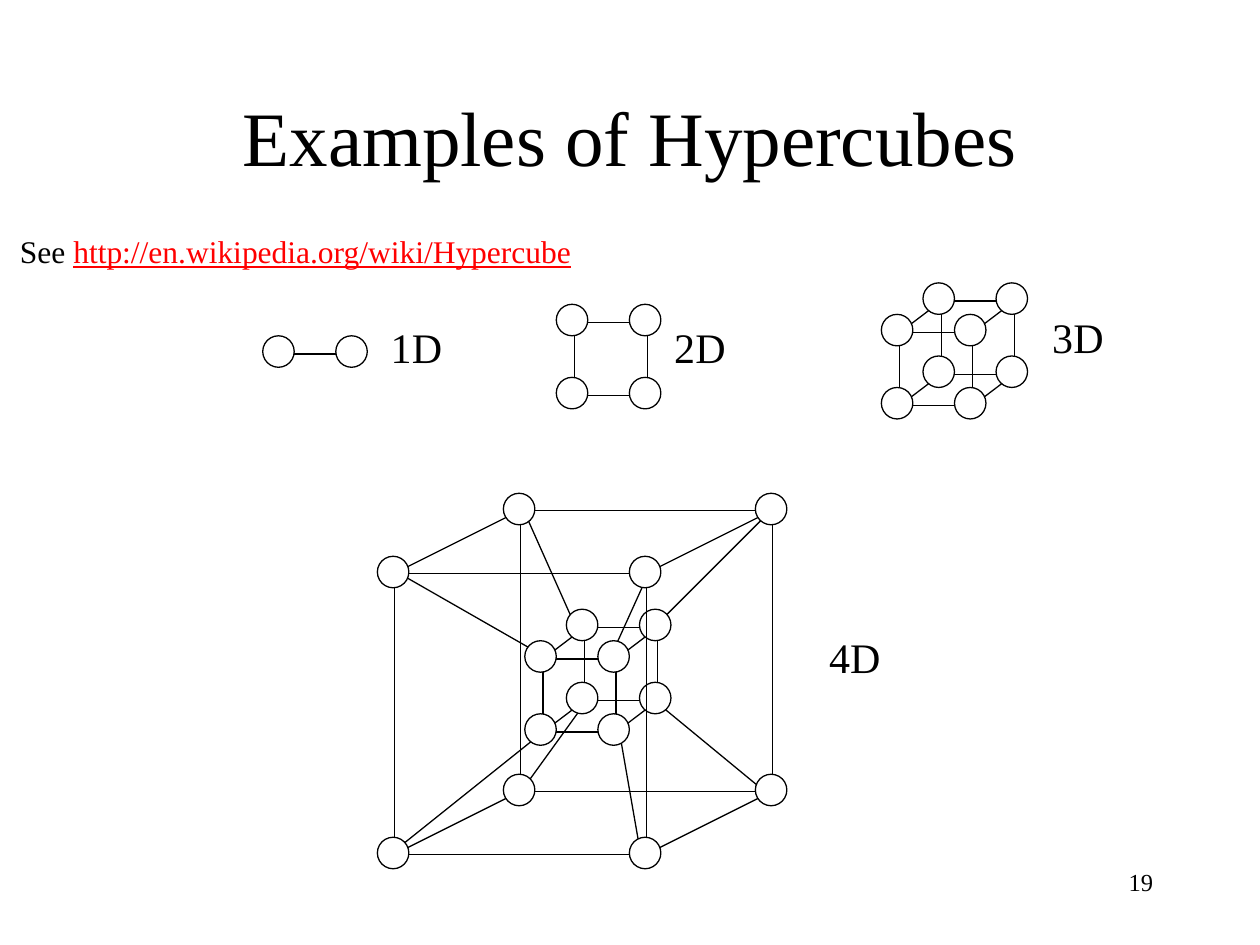
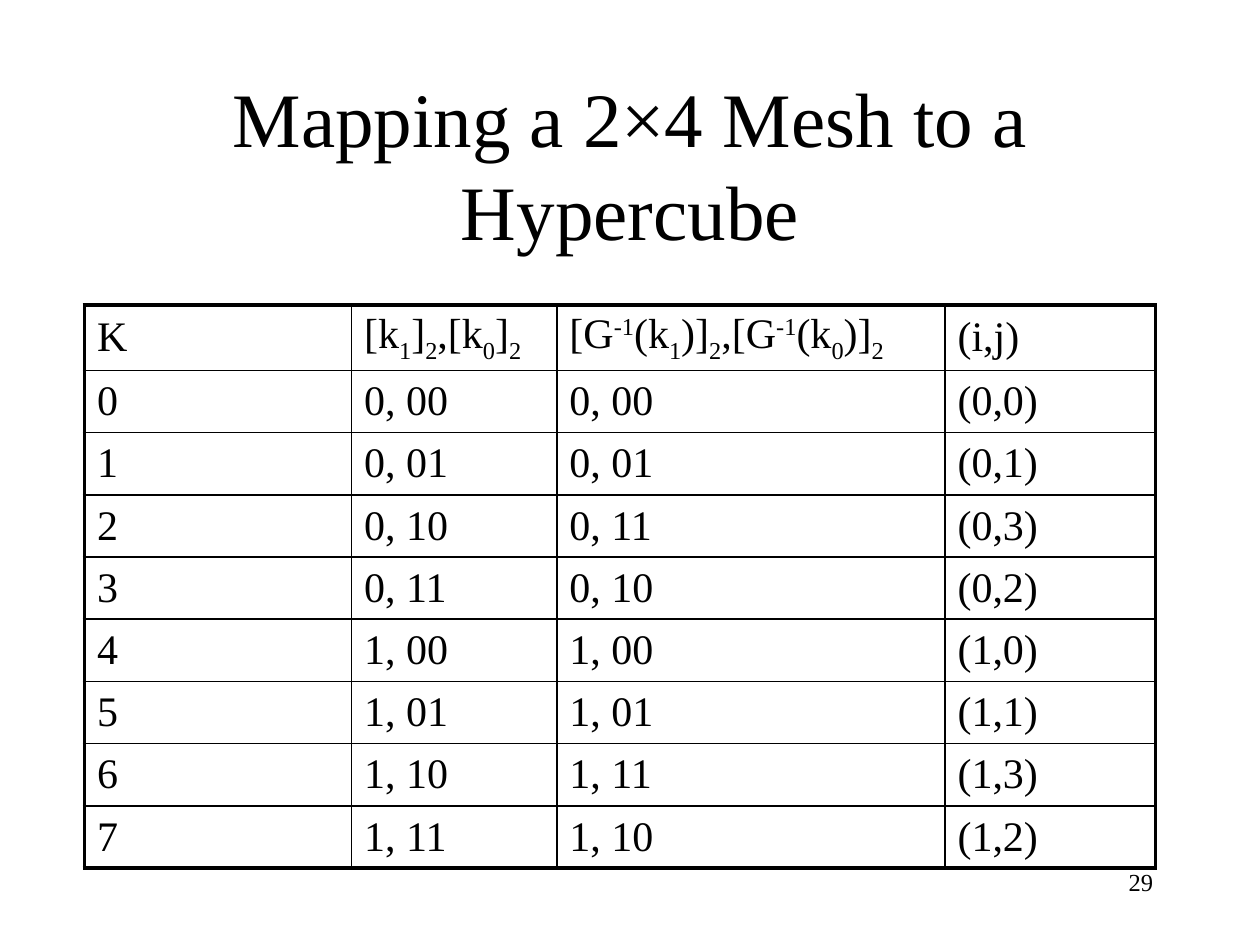
from dataclasses import dataclass
from itertools import combinations, product

from lxml import etree
from pptx import Presentation
from pptx.dml.color import RGBColor
from pptx.enum.shapes import MSO_CONNECTOR as CONN, MSO_SHAPE as SHAPE
from pptx.enum.text import MSO_ANCHOR as ANCHOR, MSO_AUTO_SIZE as AUTO, PP_ALIGN as ALIGN
from pptx.oxml.ns import qn
from pptx.util import Inches, Pt


@dataclass(frozen=True)
class Theme:
    font: str = "Times New Roman"
    ink: RGBColor = RGBColor(0, 0, 0)
    paper: RGBColor = RGBColor(255, 255, 255)
    link: RGBColor = RGBColor(255, 0, 0)
    title: int = 44
    body: int = 24
    note: int = 18
    number: int = 14
    stroke: float = 0.75
    grid: float = 1
    frame: float = 2.25


T = Theme()
NODE = 0.25
SMALL_SHIFT, LARGE_SHIFT = 0.02, 0.01
SMALL_AXES = [(0.58, 0), (0, 0.58), (0.33, -0.25)]
LARGE_AXES = [(2, 0), (0, 2.23), (1, -0.5)]
TESSERACT_LINKS = [
    ((4.36, 5.77), (3.11, 6.77)), ((4.65, 5.57), (4.13, 6.29)),
    ((4.92, 5.83), (5.08, 6.75)), ((5.17, 5.54), (6.08, 6.29)),
    ((6.17, 4), (5.17, 5)), ((5.17, 4.5), (4.83, 5.25)),
    ((4.58, 5), (4.17, 4.08)), ((4.25, 5.17), (3.08, 4.5)),
]
LABELS = [("1D", 3, 2.5), ("2D", 5.25, 2.5), ("3D", 8.25, 2.42), ("4D", 6.48, 4.96)]
HEADER = ["K", "[k|1|]|2|,[k|0|]|2", "[G|-1|(k|1|)]|2|,[G|-1|(k|0|)]|2", "(i,j)"]
COLUMNS = [2.12, 1.63, 3.08, 1.67]


def style(p, size, align=ALIGN.LEFT):
    p.alignment = align
    p.font.name = T.font
    p.font.size = Pt(size)
    p.font.color.rgb = T.ink


def add_text(s, text, left, top, width, height, size, align, wrap=False):
    tf = s.shapes.add_textbox(Inches(left), Inches(top), Inches(width), Inches(height)).text_frame
    tf.word_wrap = wrap
    p = tf.paragraphs[0]
    style(p, size, align)
    p.add_run().text = text
    return p


def add_slide(prs, title, top, number):
    s = prs.slides.add_slide(prs.slide_layouts[5])
    sp = s.shapes.title
    sp.left, sp.top, sp.width, sp.height = Inches(0.75), Inches(top), Inches(8.5), Inches(1.25)
    tf = sp.text_frame
    tf.text = title
    tf.auto_size = AUTO.NONE
    tf.vertical_anchor = ANCHOR.MIDDLE
    style(tf.paragraphs[0], T.title, ALIGN.CENTER)
    add_text(s, str(number), 7.17, 6.83, 2.08, 0.5, T.number, ALIGN.RIGHT, wrap=True)
    return s


def add_edge(group, start, end, shift=0):
    line = group.shapes.add_connector(CONN.STRAIGHT, *(Inches(v + shift) for v in (*start, *end)))
    line.line.color.rgb = T.ink
    line.line.width = Pt(T.stroke)
    etree.SubElement(line._element.spPr, qn("a:effectLst"))


def add_node(group, center):
    x, y = center
    sp = group.shapes.add_shape(SHAPE.OVAL, Inches(x - NODE / 2), Inches(y - NODE / 2),
                                Inches(NODE), Inches(NODE))
    sp.shadow.inherit = False
    sp.fill.solid()
    sp.fill.fore_color.rgb = T.paper
    sp.line.color.rgb = T.ink
    sp.line.width = Pt(T.stroke)


def cube_corners(origin, axes):
    return {bits: tuple(origin[d] + sum(b * axis[d] for b, axis in zip(bits, axes)) for d in (0, 1))
            for bits in product((0, 1), repeat=len(axes))}


def add_cube(group, origin, axes, shift):
    corners = cube_corners(origin, axes)
    for a, b in combinations(corners, 2):
        if sum(i != j for i, j in zip(a, b)) == 1:
            add_edge(group, corners[a], corners[b], shift)
    for center in corners.values():
        add_node(group, center)


def add_tesseract(group):
    for start, end in TESSERACT_LINKS:
        add_edge(group, start, end)
    add_cube(group, (4.29, 5.21), SMALL_AXES, SMALL_SHIFT)
    add_cube(group, (3.12, 4.54), LARGE_AXES, LARGE_SHIFT)


def set_borders(cell, widths):
    tcPr = cell._tc.get_or_add_tcPr()
    for i, (side, width) in enumerate(zip("LRTB", widths)):
        ln = etree.Element(qn(f"a:ln{side}"), w=str(Pt(width)))
        fill = etree.SubElement(ln, qn("a:solidFill"))
        etree.SubElement(fill, qn("a:srgbClr"), val=str(T.ink))
        tcPr.insert(i, ln)


def fill_cell(cell, text):
    cell.fill.background()
    cell.vertical_anchor = ANCHOR.MIDDLE
    cell.margin_top = cell.margin_bottom = Inches(0.03)
    p = cell.text_frame.paragraphs[0]
    style(p, T.body)
    for i, part in enumerate(text.split("|")):
        r = p.add_run()
        r.text = part
        if i % 2:
            baseline = "30000" if part.startswith("-") else "-25000"
            r._r.get_or_add_rPr().set("baseline", baseline)


def mapping_row(k):
    i, k0 = divmod(k, 4)
    j = k0 ^ (k0 >> 1)
    return [str(k), f"{i}, {k0:02b}", f"{i}, {j:02b}", f"({i},{j})"]


def add_mapping_table(s, rows):
    last_row, last_col = len(rows) - 1, len(COLUMNS) - 1
    table = s.shapes.add_table(len(rows), len(COLUMNS), Inches(0.67), Inches(2.42),
                               Inches(sum(COLUMNS)), Inches(4.47)).table
    table.first_row = table.horz_banding = False
    for column, width in zip(table.columns, COLUMNS):
        column.width = Inches(width)
    for y, row in enumerate(rows):
        table.rows[y].height = Inches(3.95 / last_row) if y else Inches(0.52)
        for x, text in enumerate(row):
            cell = table.cell(y, x)
            fill_cell(cell, text)
            outer = (x == 0, x == last_col, y == 0, y == last_row)
            set_borders(cell, [T.frame if edge else T.grid for edge in outer])


def add_hypercubes_slide(prs):
    s = add_slide(prs, "Examples of Hypercubes", 0.45, 19)
    for dim, origin in enumerate([(2.21, 2.79), (4.54, 2.54), (7.12, 2.62)], 1):
        add_cube(s.shapes.add_group_shape(), origin, SMALL_AXES[:dim], SMALL_SHIFT)
    add_tesseract(s.shapes.add_group_shape())
    for text, left, top in LABELS:
        add_text(s, text, left, top, 0.61, 0.5, T.body, ALIGN.CENTER)
    p = add_text(s, "See ", 0.06, 1.79, 4.69, 0.4, T.note, ALIGN.LEFT)
    r = p.add_run()
    r.text = "http://en.wikipedia.org/wiki/Hypercube"
    r.font.color.rgb = T.link
    r.font.underline = True


def add_mapping_slide(prs):
    s = add_slide(prs, "Mapping a 2×4 Mesh to a Hypercube", 0.67, 29)
    add_mapping_table(s, [HEADER] + [mapping_row(k) for k in range(8)])


def main():
    prs = Presentation()
    prs.slide_width, prs.slide_height = Inches(10), Inches(7.5)
    add_hypercubes_slide(prs)
    add_mapping_slide(prs)
    prs.save("out.pptx")


if __name__ == "__main__":
    main()
